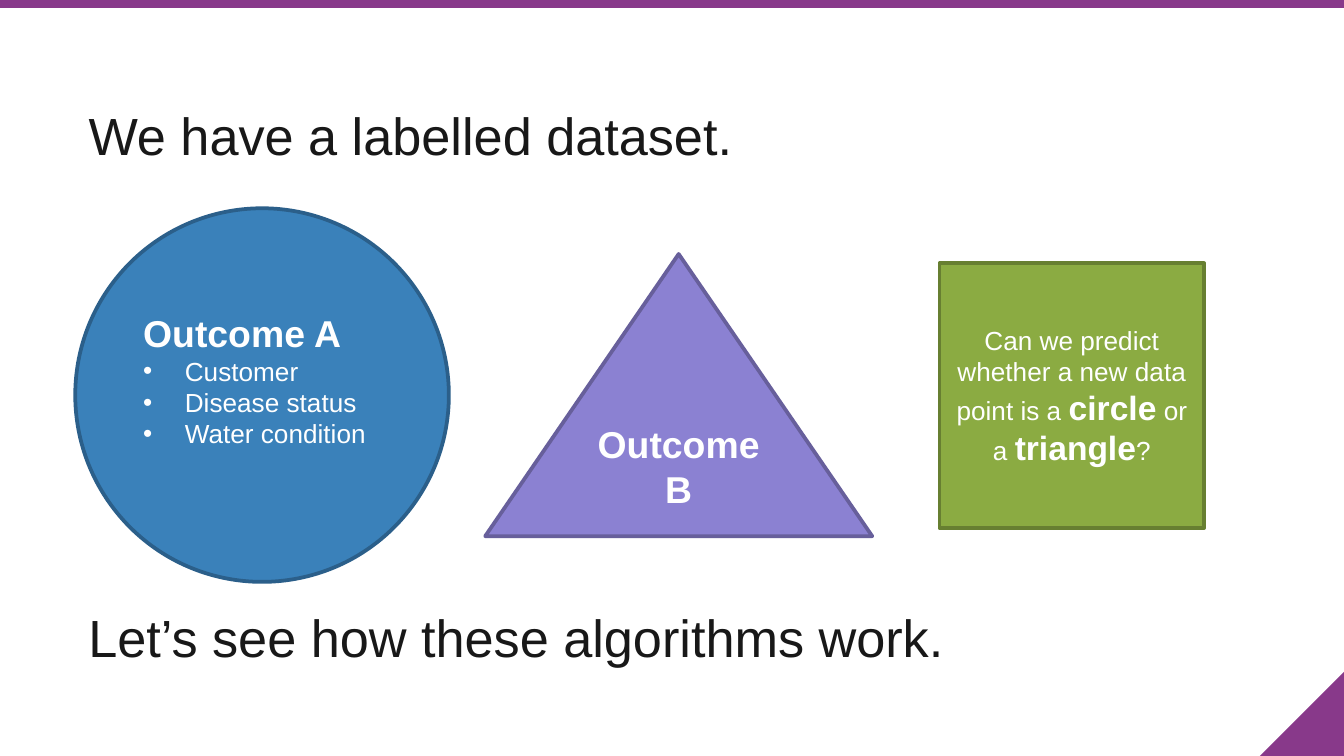
"""Build a slide that shows two labelled outcomes and the prediction question."""
from lxml.etree import SubElement
from pptx import Presentation
from pptx.dml.color import RGBColor
from pptx.enum.shapes import MSO_SHAPE
from pptx.enum.text import MSO_ANCHOR, MSO_AUTO_SIZE, PP_ALIGN
from pptx.oxml.ns import qn
from pptx.util import Inches, Pt

PURPLE = RGBColor(0x88, 0x39, 0x8A)
INK = RGBColor(0x18, 0x18, 0x18)
WHITE = RGBColor(0xFF, 0xFF, 0xFF)
BLUE, DARK_BLUE = RGBColor(0x3A, 0x81, 0xBA), RGBColor(0x2B, 0x5F, 0x8A)
VIOLET, DARK_VIOLET = RGBColor(0x8B, 0x81, 0xD2), RGBColor(0x67, 0x5F, 0x9B)
GREEN, DARK_GREEN = RGBColor(0x8B, 0xAB, 0x42), RGBColor(0x67, 0x7F, 0x31)

HEADING = {"size": Pt(28), "bold": False}
OUTCOME = {"size": Pt(20), "bold": True}
BODY = {"size": Pt(14), "bold": False}
KEYWORD = {"size": Pt(18), "bold": True}
LEFT, CENTER = {"align": PP_ALIGN.LEFT}, {"align": PP_ALIGN.CENTER}
BULLET = {"align": PP_ALIGN.LEFT, "bullet": "•"}

OPENING = [(LEFT, [("We have a labelled dataset.", HEADING)])]
CLOSING = [(LEFT, [("Let’s see how these algorithms work.", HEADING)])]
EXAMPLES = ["Customer", "Disease status", "Water condition"]
OUTCOME_A = [(LEFT, [("Outcome A", OUTCOME)])]
OUTCOME_A += [(BULLET, [(example, BODY)]) for example in EXAMPLES]
OUTCOME_B = [(CENTER, [("Outcome B", OUTCOME)])]
QUESTION = [(CENTER, [
    ("Can we predict whether a new data point is a ", BODY), ("circle", KEYWORD),
    (" or a ", BODY), ("triangle", KEYWORD), ("?", BODY)])]

WIDTH = 10
HEIGHT = WIDTH * 9 / 16
CORNER = HEIGHT / 9
DECOR = [
    (MSO_SHAPE.RIGHT_TRIANGLE, (WIDTH - CORNER, HEIGHT - CORNER, CORNER, CORNER), 270),
    (MSO_SHAPE.RECTANGLE, (0, 0, WIDTH, 0.06), 0),
]
FIGURES = [
    (MSO_SHAPE.ISOSCELES_TRIANGLE, (3.61, 1.89, 2.88, 2.1), VIOLET, DARK_VIOLET, OUTCOME_B, 0.05),
    (MSO_SHAPE.OVAL, (0.56, 1.55, 2.78, 2.78), BLUE, DARK_BLUE, OUTCOME_A, 0.28),
    (MSO_SHAPE.RECTANGLE, (6.99, 1.96, 1.97, 1.97), GREEN, DARK_GREEN, QUESTION, 0.05),
]
HEADING_BOX = (0.56, 0.67, 8.17, 0.67)
CLOSING_DROP = 3.73


def add_bullet(p, char, indent=Inches(0.31)):
    pPr = p._p.get_or_add_pPr()
    pPr.set("marL", str(indent))
    pPr.set("indent", str(-indent))
    SubElement(pPr, qn("a:buFont"), typeface="Arial")
    SubElement(pPr, qn("a:buChar"), char=char)


def write(tf, paragraphs, color, **frame):
    frame = {"word_wrap": True, "auto_size": MSO_AUTO_SIZE.NONE, **frame}
    for name, value in frame.items():
        setattr(tf, name, value)
    for i, (layout, runs) in enumerate(paragraphs):
        p = tf.add_paragraph() if i else tf.paragraphs[0]
        p.alignment = layout["align"]
        if "bullet" in layout:
            add_bullet(p, layout["bullet"])
        for text, style in runs:
            r = p.add_run()
            r.text = text
            r.font.color.rgb = color
            for name, value in {"name": "Arial", **style}.items():
                setattr(r.font, name, value)


def add_figure(s, kind, box, fill, line=None):
    sp = s.shapes.add_shape(kind, *map(Inches, box))
    sp.shadow.inherit = False
    sp.fill.solid()
    sp.fill.fore_color.rgb = fill
    if line is None:
        sp.line.fill.background()
    else:
        sp.line.color.rgb = line
        sp.line.width = Pt(2)
    return sp


def main():
    prs = Presentation()
    prs.slide_width, prs.slide_height = Inches(WIDTH), Inches(HEIGHT)
    s = prs.slides.add_slide(prs.slide_layouts[5])
    for kind, box, rotation in DECOR:
        add_figure(s, kind, box, PURPLE).rotation = rotation

    left, top, width, height = map(Inches, HEADING_BOX)
    title = s.shapes.title
    title.left, title.top, title.width, title.height = left, top, width, height
    closing = s.shapes.add_textbox(left, top + Inches(CLOSING_DROP), width, height)
    margins = ("margin_left", "margin_top", "margin_right", "margin_bottom")
    frame = dict.fromkeys(margins, Inches(0.1))
    for sp, text in ((title, OPENING), (closing, CLOSING)):
        write(sp.text_frame, text, INK, vertical_anchor=MSO_ANCHOR.TOP, **frame)

    for kind, box, fill, line, text, bottom in FIGURES:
        sp = add_figure(s, kind, box, fill, line)
        write(sp.text_frame, text, WHITE, vertical_anchor=MSO_ANCHOR.MIDDLE,
              margin_bottom=Inches(bottom))
    prs.save("out.pptx")


if __name__ == "__main__":
    main()
